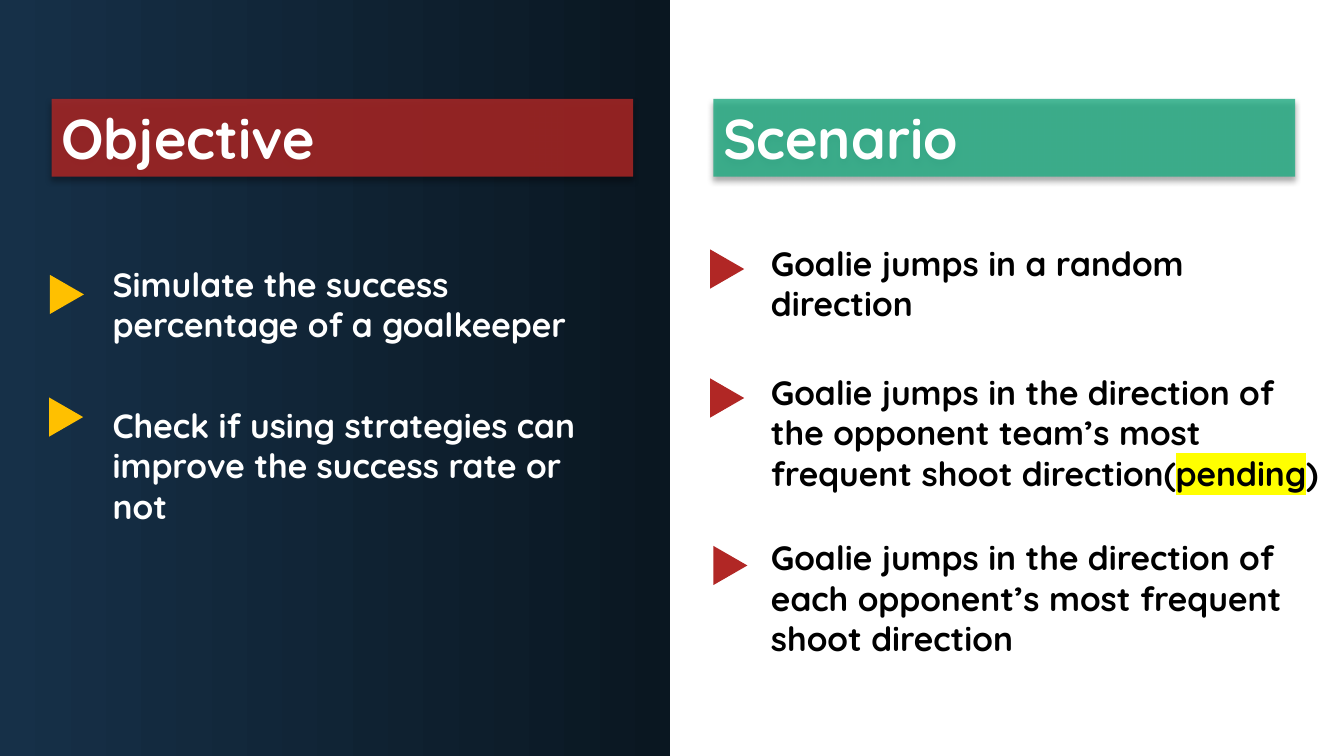
import pptx
import pptx.dml.color
import pptx.enum.shapes
import pptx.enum.text
import pptx.oxml
import pptx.oxml.ns
import pptx.util

Cm = pptx.util.Cm
SHAPE = pptx.enum.shapes.MSO_SHAPE
NS = pptx.oxml.ns.nsdecls("a")
HUES = {
    "white": "FFFFFF", "black": "000000", "navy": "163048", "night": "0A1721",
    "red": "B12725", "green": "21AB82", "gold": "FFC000", "mark": "FFFF00",
}


def tone(name):
    return pptx.dml.color.RGBColor.from_string(HUES[name])


class Deck:
    font = {"name": "Quicksand", "bold": True}
    frame = {
        "word_wrap": True,
        "auto_size": pptx.enum.text.MSO_AUTO_SIZE.SHAPE_TO_FIT_TEXT,
        "vertical_anchor": pptx.enum.text.MSO_ANCHOR.TOP,
    }

    def __init__(self, wide, high):
        self.file = pptx.Presentation()
        self.file.slide_width, self.file.slide_height = Cm(wide), Cm(high)
        self.slide = self.file.slides.add_slide(self.file.slide_layouts[6])

    def shape(self, kind, box, hue=None):
        item = self.slide.shapes.add_shape(kind, *map(Cm, box))
        item.shadow.inherit = False
        item.line.fill.background()
        if hue:
            item.fill.solid()
            item.fill.fore_color.rgb = tone(hue)
        return item

    def panel(self, box, *hues):
        """Draw a rectangle that shades from left to right."""
        fill = self.shape(SHAPE.RECTANGLE, box).fill
        fill.gradient()
        fill.gradient_angle = 0
        for stop, place, hue in zip(fill.gradient_stops, (0, 1), hues):
            stop.position = place
            stop.color.rgb = tone(hue)

    def label(self, item, runs, size, hue):
        """Fill a shape with (text, highlight) runs."""
        for key, value in self.frame.items():
            setattr(item.text_frame, key, value)
        para = item.text_frame.paragraphs[0]
        para.alignment = pptx.enum.text.PP_ALIGN.LEFT
        for text, mark in runs:
            run = para.add_run()
            run.text = text
            run.font.color.rgb = tone(hue)
            for key, value in {**self.font, "size": pptx.util.Pt(size)}.items():
                setattr(run.font, key, value)
            if mark:
                latin = run.font._element.find(pptx.oxml.ns.qn("a:latin"))
                latin.addprevious(pptx.oxml.parse_xml(
                    f'<a:highlight {NS}><a:srgbClr val="{HUES[mark]}"/></a:highlight>'))

    def banner(self, left, text, hue):
        """Draw a see-through heading bar with a soft shadow below."""
        bar = self.shape(SHAPE.RECTANGLE, (left, 2.49, 14.66, 1.96), hue)
        props = bar._element.spPr
        color = props.find(".//" + pptx.oxml.ns.qn("a:srgbClr"))
        color.append(pptx.oxml.parse_xml(f'<a:alpha {NS} val="81000"/>'))
        props.find(pptx.oxml.ns.qn("a:effectLst")).append(pptx.oxml.parse_xml(
            f'<a:outerShdw {NS} blurRad="50800" dist="38100" dir="5400000" '
            'algn="t" rotWithShape="0"><a:srgbClr val="000000">'
            '<a:alpha val="40000"/></a:srgbClr></a:outerShdw>'))
        self.label(bar, [(text, None)], 40, "white")

    def point(self, spot, box, runs, mark, hue):
        """Place an arrow marker at spot and its text in box."""
        self.shape(SHAPE.ISOSCELES_TRIANGLE, (*spot, 0.99, 0.86), mark).rotation = 90
        self.label(self.slide.shapes.add_textbox(*map(Cm, box)), runs, 24, hue)


GOALS = [
    ((1.19, 6.99), (2.59, 6.53, 12.5, 2.31),
     [("Simulate the success percentage of a goalkeeper", None)]),
    ((1.17, 10.08), (2.59, 10.08, 12.5, 3.33),
     [("Check if using strategies can improve the success rate or not", None)]),
]
CASES = [
    ((17.83, 6.35), (19.18, 5.99, 12.78, 2.31),
     [("Goalie jumps in a random direction", None)]),
    ((17.83, 9.6), (19.18, 9.25, 14.33, 3.33),
     [("Goalie jumps in the direction of the opponent team’s most "
       "frequent shoot direction(", None), ("pending", "mark"), (")", None)]),
    ((17.91, 13.82), (19.18, 13.41, 13.44, 3.33),
     [("Goalie jumps in the direction of each opponent’s most "
       "frequent shoot direction", None)]),
]


def main():
    deck = Deck(33.87, 19.05)
    deck.panel((0, 0, 16.89, 19.05), "navy", "night")
    deck.banner(1.3, "Objective", "red")
    deck.banner(17.98, "Scenario", "green")
    for points, mark, hue in ((GOALS, "gold", "white"), (CASES, "red", "black")):
        for spot, box, runs in points:
            deck.point(spot, box, runs, mark, hue)
    deck.file.save("out.pptx")


if __name__ == "__main__":
    main()
